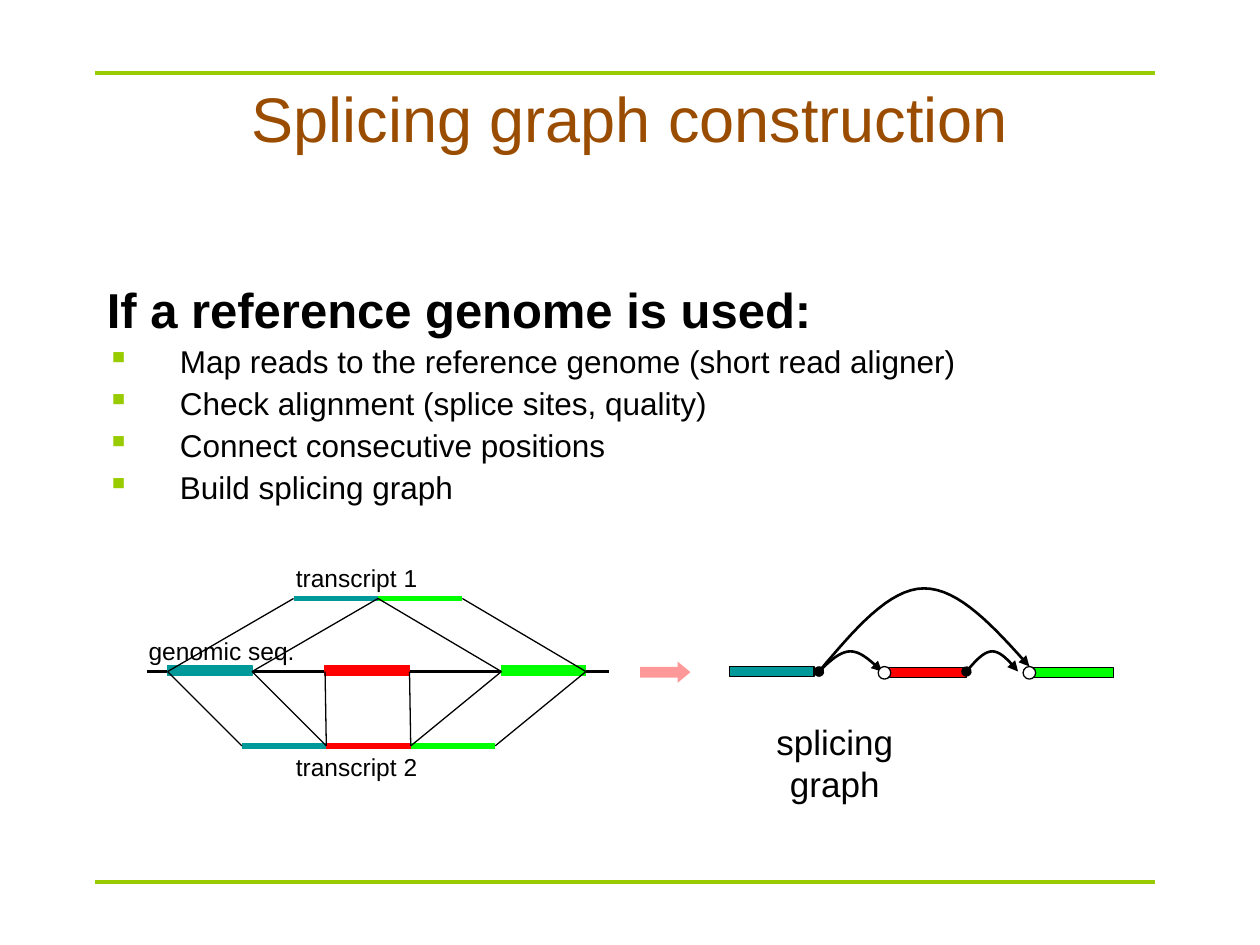
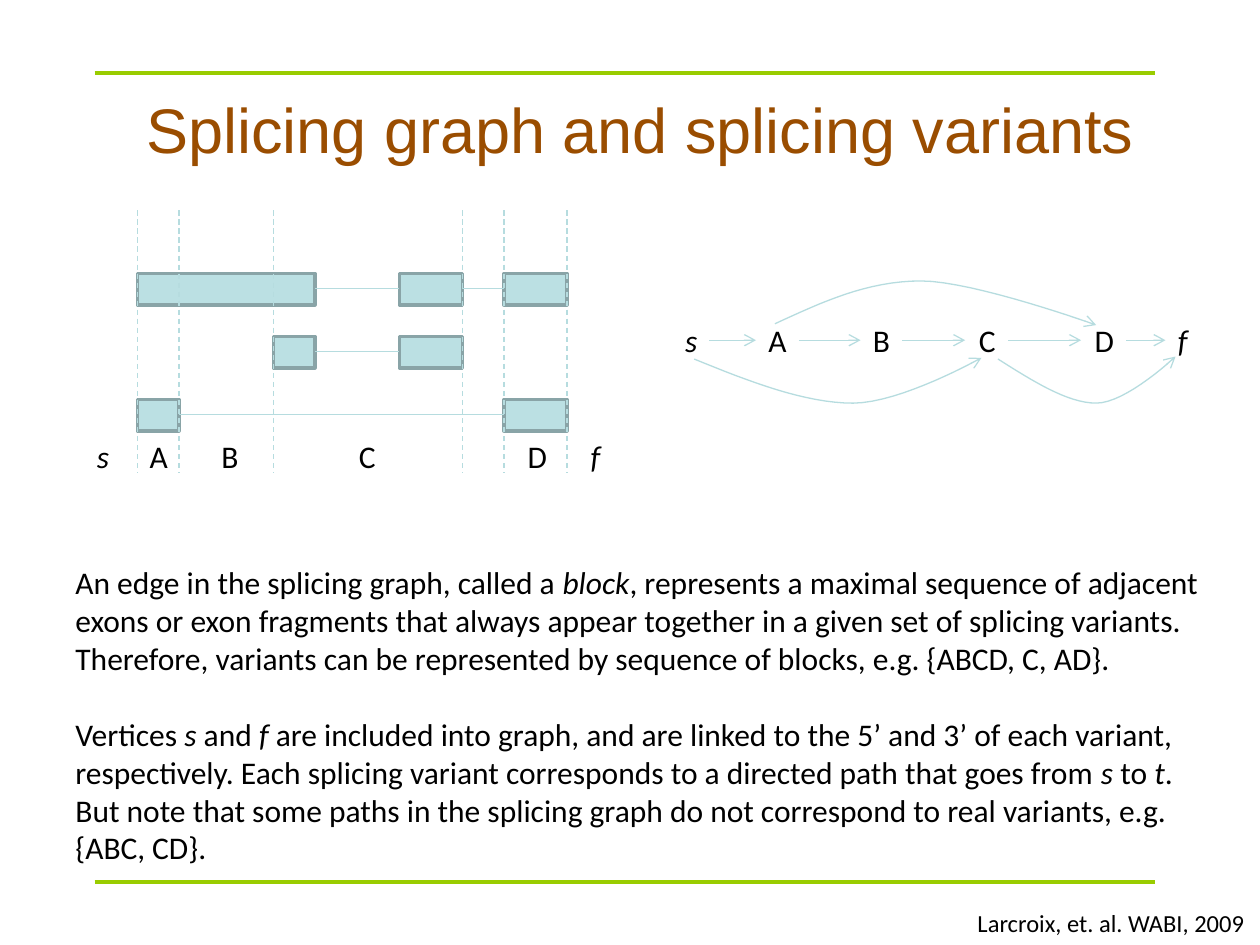
from itertools import pairwise
from lxml import etree
from pptx import Presentation
from pptx.dml.color import RGBColor
from pptx.enum.dml import MSO_LINE
from pptx.enum.shapes import MSO_CONNECTOR, MSO_SHAPE
from pptx.enum.text import MSO_ANCHOR, PP_ALIGN
from pptx.oxml.ns import qn
from pptx.util import Inches, Pt

STRAIGHT = MSO_CONNECTOR.STRAIGHT
DASH = MSO_LINE.DASH
RECT = MSO_SHAPE.RECTANGLE
ARROW = MSO_SHAPE.RIGHT_ARROW
NODE = MSO_SHAPE.FLOWCHART_CONNECTOR
MIDDLE = MSO_ANCHOR.MIDDLE
LEFT, CENTER = PP_ALIGN.LEFT, PP_ALIGN.CENTER

BLACK, WHITE = "000000", "FFFFFF"
BAND, BROWN = "99CC00", "9A4D00"
TEAL, RED, GREEN, PINK = "009999", "FF0000", "00FF00", "FF9999"
PALE, EDGE, THREAD = "BBE0E3", "89A4A7", "B6DCDF"

WIDE, THICK = 0.67, 0.08
GENOME = 5.33
EXONS = {TEAL: 1.33, RED: 2.58, GREEN: 3.98}


def hue(code):
    """Turn a hex string into a colour."""
    return RGBColor.from_string(code)


def add_tips(shape, head, tail):
    """Put end marks on the outline of a shape."""
    line = shape.element.spPr.find(qn("a:ln"))
    for tag, kind in (("a:headEnd", head), ("a:tailEnd", tail)):
        if kind:
            etree.SubElement(line, qn(tag), type=kind)


def add_line(slide, start, end, color, width=0.75, dash=None, tail=None):
    """Draw a straight line, with an optional dash and arrowhead."""
    line = slide.shapes.add_connector(STRAIGHT, *map(Inches, (*start, *end)))
    line.line.color.rgb = hue(color)
    line.line.width = Pt(width)
    if dash:
        line.line.dash_style = dash
    add_tips(line, None, tail)
    etree.SubElement(line.element.spPr, qn("a:effectLst"))


def add_shape(slide, kind, box, fill, edge=None, width=0.75):
    """Draw a filled preset shape."""
    shape = slide.shapes.add_shape(kind, *map(Inches, box))
    shape.shadow.inherit = False
    shape.fill.solid()
    shape.fill.fore_color.rgb = hue(fill)
    if edge:
        shape.line.color.rgb = hue(edge)
        shape.line.width = Pt(width)
    else:
        shape.line.fill.background()
    return shape


def trace(points, steps=16):
    """List points along joined cubic curves."""
    spots = []
    for i in range(0, len(points) - 1, 3):
        for step in range(1, steps + 1):
            t = step / steps
            parts = ((1 - t) ** 3, 3 * t * (1 - t) ** 2, 3 * t * t * (1 - t), t ** 3)
            spots.append(tuple(
                Inches(sum(part * spot[axis] for part, spot in zip(parts, points[i:i + 4])))
                for axis in (0, 1)))
    return spots


def add_curve(slide, points, color, width, head, tail):
    """Draw an open curve with end marks."""
    pen = slide.shapes.build_freeform(*map(Inches, points[0]), scale=1.0)
    pen.add_line_segments(trace(points), close=False)
    curve = pen.convert_to_shape()
    curve.shadow.inherit = False
    curve.fill.background()
    curve.line.color.rgb = hue(color)
    curve.line.width = Pt(width)
    add_tips(curve, head, tail)


def style(para, size, font="Calibri", color=BLACK, bold=False):
    """Format every run of a paragraph."""
    for run in para.runs:
        run.font.size = Pt(size)
        run.font.name = font
        run.font.bold = bold
        run.font.color.rgb = hue(color)


def add_frame(slide, box, wrap=True):
    """Add an empty text box and give its frame."""
    frame = slide.shapes.add_textbox(*map(Inches, box)).text_frame
    frame.word_wrap = wrap
    return frame


def add_label(slide, box, text, size=18, font="Calibri", align=LEFT, slant=False):
    """Write a single line of text."""
    frame = add_frame(slide, box, wrap=False)
    frame.text = text
    para = frame.paragraphs[0]
    para.alignment = align
    style(para, size, font)
    para.runs[0].font.italic = slant


def add_bullet(para):
    """Hang a square bullet in front of a paragraph."""
    props = para._p.get_or_add_pPr()
    props.set("marL", str(Inches(0.58)))
    props.set("indent", str(Inches(-0.58)))
    color = etree.SubElement(props, qn("a:buClr"))
    etree.SubElement(color, qn("a:srgbClr"), val=BAND)
    etree.SubElement(props, qn("a:buChar"), char="▪")


def add_list(slide, box, head, items):
    """Write a bold heading with bullets below it."""
    frame = add_frame(slide, box)
    frame.text = "\n".join([head, *items])
    first, *rest = frame.paragraphs
    first.space_before = Pt(7)
    style(first, 28, "Arial", bold=True)
    for para in rest:
        para.line_spacing = 0.9
        para.space_before = Pt(4.5)
        style(para, 18, "Arial")
        add_bullet(para)


def add_prose(slide, box, texts):
    """Write paragraphs in which starred words are italic."""
    frame = add_frame(slide, box)
    for i, text in enumerate(texts):
        para = frame.add_paragraph() if i else frame.paragraphs[0]
        para.space_before = Pt(22 if i else 0)
        for j, part in enumerate(text.split("*")):
            run = para.add_run()
            run.text = part
            run.font.italic = j % 2 == 1
        style(para, 18)


def add_base(deck, title, box):
    """Start a slide with its two bands and title."""
    slide = deck.slides.add_slide(deck.slide_layouts[6])
    for y in (0.58, 7):
        add_line(slide, (0.75, y), (9.17, y), BAND, 2.25)
    frame = add_frame(slide, box)
    frame.vertical_anchor = MIDDLE
    frame.text = title
    frame.paragraphs[0].alignment = CENTER
    style(frame.paragraphs[0], 36, "Arial", BROWN)
    return slide


def add_script(slide, left, y, colors):
    """Draw a transcript and tie its exons to the genome."""
    for i, color in enumerate(colors):
        start = left + i * WIDE
        add_line(slide, (start, y), (start + WIDE, y), color, 3)
    for i, color in enumerate(colors):
        for side in (0, WIDE):
            add_line(slide, (left + i * WIDE + side, y),
                     (EXONS[color] + side, GENOME), BLACK)


def add_hop(slide, start, end, top):
    """Draw an arched edge of the splicing graph."""
    (x, y), (last, low) = start, end
    mid, third = (x + last) / 2, (last - x) / 6
    points = [start, (x + third, (y + top) / 2), (mid - third, top), (mid, top),
              (mid + third, top), (last - third, (low + top) / 2), end]
    add_curve(slide, points, BLACK, 1.5, "oval", "triangle")


def add_genome(slide):
    """Draw the genome with both transcripts."""
    add_line(slide, (1.17, GENOME), (4.83, GENOME), BLACK, 1.5)
    for color, left in EXONS.items():
        add_shape(slide, RECT, (left, 5.28, WIDE, THICK), color, color)
    add_script(slide, 2.33, 4.75, (TEAL, GREEN))
    add_script(slide, 1.92, 5.92, (TEAL, RED, GREEN))
    for box, text in (((1.08, 5, 1.36, 0.34), "genomic seq."),
                      ((2.22, 4.42, 1.22, 0.34), "transcript 1"),
                      ((2.22, 5.92, 1.22, 0.34), "transcript 2")):
        add_label(slide, box, text, 14, "Arial", CENTER)


def add_graph(slide):
    """Draw the splicing graph made from the genome."""
    arrow = add_shape(slide, ARROW, (5.08, 5.25, 0.4, 0.17), PINK)
    arrow.adjustments[1] = 0.6
    add_hop(slide, (6.5, GENOME), (7, GENOME), 5.17)
    add_hop(slide, (6.5, GENOME), (8.17, 5.29), 4.67)
    add_shape(slide, RECT, (5.79, 5.29, WIDE, THICK), TEAL, BLACK, 1)
    for left, color in ((7, RED), (8.17, GREEN)):
        add_shape(slide, RECT, (left, 5.3, WIDE, THICK), color, BLACK)
    add_hop(slide, (7.67, GENOME), (8.08, GENOME), 5.17)
    for left in (6.97, 8.12):
        add_shape(slide, NODE, (left, 5.29, 0.1, 0.1), WHITE, BLACK)
    add_label(slide, (5.67, 5.67, 1.91, 0.44), "splicing graph", 20, "Arial", CENTER)


def add_blocks(slide):
    """Draw three variants cut into named blocks."""
    rows = (((1.09, 2.5), (3.17, 3.67), (4, 4.5)),
            ((2.17, 2.5), (3.17, 3.67)),
            ((1.09, 1.42), (4, 4.5)))
    for i, row in enumerate(rows):
        top = 2.17 + i * 0.5
        for left, right in row:
            add_shape(slide, RECT, (left, top, right - left, 0.25), PALE, EDGE, 2)
        for (_, end), (start, _) in pairwise(row):
            add_line(slide, (end, top + 0.12), (start, top + 0.12), THREAD)
    for x in (1.09, 1.42, 2.17, 3.67, 4, 4.5):
        add_line(slide, (x, 1.67), (x, 3.75), THREAD, dash=DASH)
    add_names(slide, (0.67, 1.09, 1.66, 2.75, 4.09, 4.59), 3.42)


def add_names(slide, lefts, top):
    """Write the vertex and block names in a row."""
    for name, left in zip("sABCDf", lefts):
        add_label(slide, (left, top, 0.34, 0.4), name, slant=name.islower())


def add_paths(slide):
    """Draw the graph whose paths are the variants."""
    add_names(slide, (5.34, 6, 6.83, 7.67, 8.59, 9.25), 2.5)
    for start, end in ((5.63, 6), (6.34, 6.83), (7.16, 7.66), (8, 8.58), (8.94, 9.25)):
        add_line(slide, (start, 2.7), (end, 2.7), THREAD, tail="arrow")
    arcs = (
        ((6.15, 2.57), (6.52, 2.4), (6.88, 2.23), (7.31, 2.23),
         (7.73, 2.23), (8.7, 2.58), (8.7, 2.58)),
        ((5.51, 2.85), (5.95, 3.03), (6.39, 3.2), (6.77, 3.2),
         (7.15, 3.2), (7.79, 2.84), (7.79, 2.84)),
        ((7.92, 2.85), (8.19, 3.02), (8.47, 3.2), (8.7, 3.2),
         (8.94, 3.2), (9.33, 2.83), (9.33, 2.83)))
    for arc in arcs:
        add_curve(slide, arc, THREAD, 0.75, None, "arrow")


def main():
    """Build both slides and save them."""
    deck = Presentation()
    deck.slide_width, deck.slide_height = Inches(10), Inches(7.5)

    slide = add_base(deck, "Splicing graph construction", (0.5, 0.42, 9, 1.02))
    add_list(slide, (0.75, 2.17, 8.75, 4.5), "If a reference genome is used:", (
        "Map reads to the reference genome (short read aligner)",
        "Check alignment (splice sites, quality)",
        "Connect consecutive positions",
        "Build splicing graph"))
    add_genome(slide)
    add_graph(slide)

    slide = add_base(deck, "Splicing graph and splicing variants", (0.83, 0.67, 8.5, 0.7))
    add_blocks(slide)
    add_paths(slide)
    add_prose(slide, (0.5, 4.42, 9.25, 2.5), (
        "An edge in the splicing graph, called a *block*, represents a maximal sequence "
        "of adjacent exons or exon fragments that always appear together in a given set "
        "of splicing variants. Therefore, variants can be represented by sequence of "
        "blocks, e.g. {ABCD, C, AD}.",
        "Vertices *s* and *f* are included into graph, and are linked to the 5’ and 3’ of "
        "each variant, respectively. Each splicing variant corresponds to a directed path "
        "that goes from *s* to *t*. But note that some paths in the splicing graph do not "
        "correspond to real variants, e.g. {ABC, CD}."))
    add_label(slide, (7.66, 7.16, 2.33, 0.34), "Larcroix, et. al. WABI, 2009", 14)
    deck.save("out.pptx")


if __name__ == "__main__":
    main()
